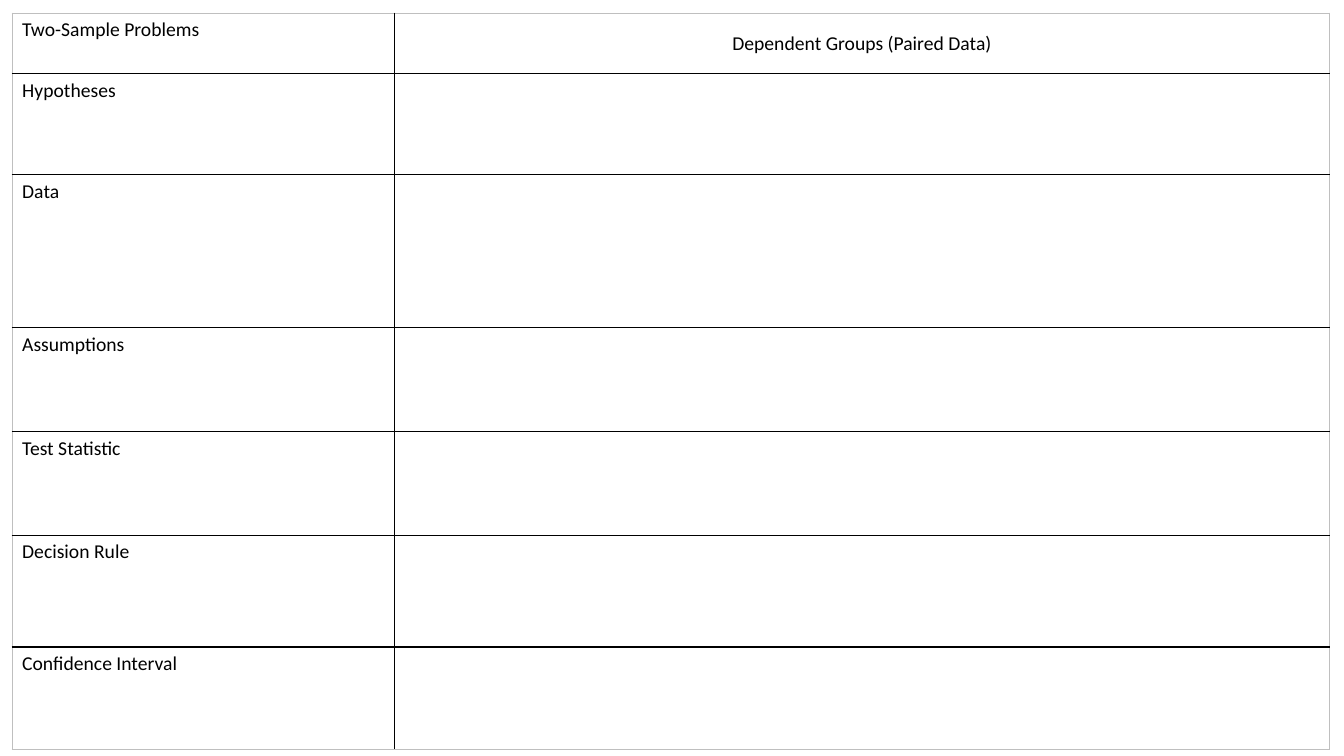
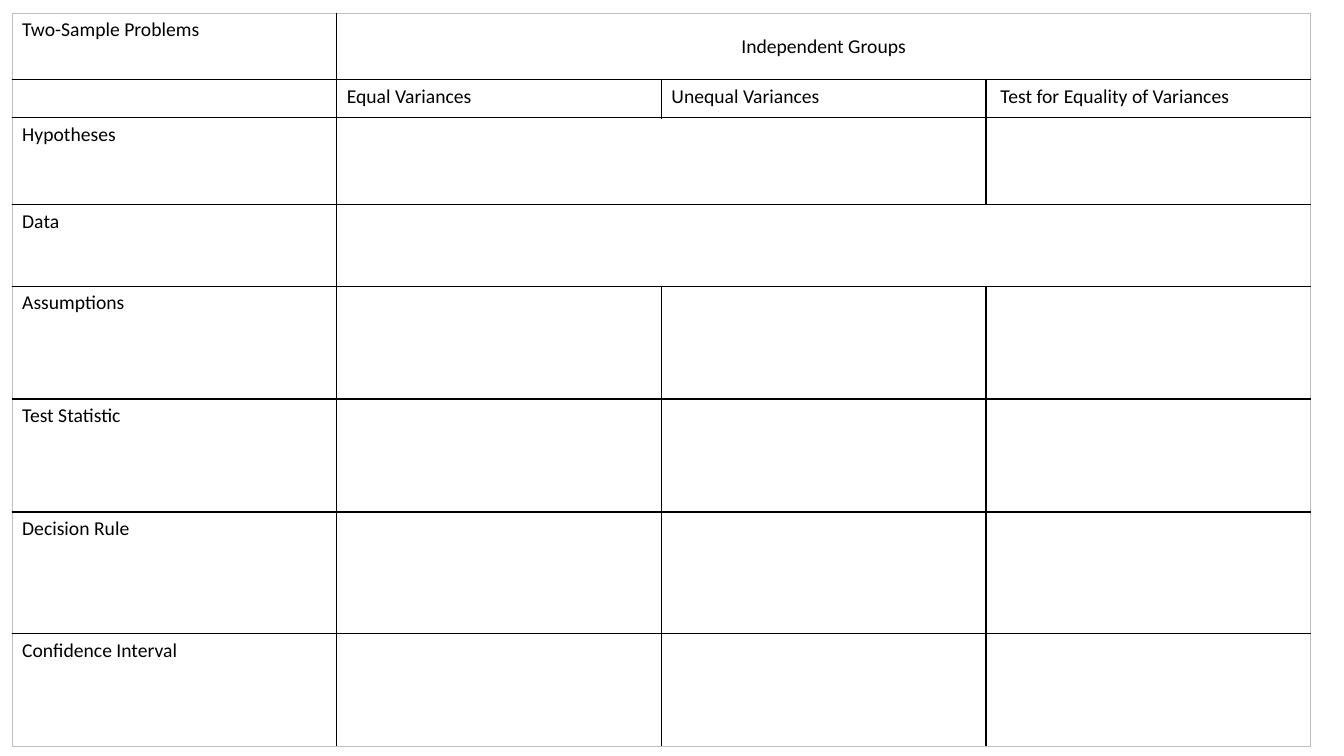
"""Build two blank worksheets for comparing two-sample problems."""
from lxml.etree import SubElement
from pptx import Presentation
from pptx.dml.color import RGBColor
from pptx.enum.text import MSO_ANCHOR as Anchor, PP_ALIGN as Align
from pptx.oxml.ns import qn
from pptx.util import Inches, Pt

TEXT = RGBColor(0x00, 0x00, 0x00)
PAPER = RGBColor(0xFF, 0xFF, 0xFF)
INNER_RULE = RGBColor(0x00, 0x00, 0x00)
OUTER_RULE = RGBColor(0xBF, 0xBF, 0xBF)
FONT = "Calibri"
FONT_SIZE = 14
LEFT, TOP = 0.12, 0.13
CORNER = "Two-Sample Problems"
STEPS = ["Hypotheses", "Data", "Assumptions", "Test Statistic",
         "Decision Rule", "Confidence Interval"]


def add_border(cell, side, color):
    """Draw one side of a cell as a 1 pt line."""
    line = SubElement(cell._tc.get_or_add_tcPr(), qn(f"a:{side}"), w=str(Pt(1)))
    fill = SubElement(line, qn("a:solidFill"))
    SubElement(fill, qn("a:srgbClr"), val=str(color))


def style_cell(cell, row, column, row_count, column_count):
    """Give a cell its paper fill, with a lighter rule around the whole table."""
    end = column + (cell.span_width if cell.is_merge_origin else 1)
    on_edge = {"lnL": column == 0, "lnR": end == column_count,
               "lnT": row == 0, "lnB": row == row_count - 1}
    for side, outer in on_edge.items():
        add_border(cell, side, OUTER_RULE if outer else INNER_RULE)
    cell.fill.solid()
    cell.fill.fore_color.rgb = PAPER


def write_cell(cell, label):
    """Write a label, keeping the text size in empty cells too."""
    paragraph = cell.text_frame.paragraphs[0]
    paragraph.text = label
    for run in paragraph.runs:
        run.font.name = FONT
        run.font.size = Pt(FONT_SIZE)
        run.font.color.rgb = TEXT
    SubElement(paragraph._p, qn("a:endParaRPr"), sz=str(FONT_SIZE * 100))


def add_worksheet(prs, group, widths, heights, subheads=(), merges=()):
    """Add a slide whose table has a group heading and one row per step."""
    slide = prs.slides.add_slide(prs.slide_layouts[6])
    row_count, column_count = len(heights), len(widths)
    table = slide.shapes.add_table(
        row_count, column_count, Inches(LEFT), Inches(TOP),
        Inches(sum(widths)), Inches(sum(heights))).table
    table.first_row = table.horz_banding = False
    for column, width in zip(table.columns, widths):
        column.width = Inches(width)
    for row, height in zip(table.rows, heights):
        row.height = Inches(height)
    for row, first, last in merges:
        table.cell(row, first).merge(table.cell(row, last))

    rows = [[CORNER, group]]
    if subheads:
        rows.append(["", *subheads])
    rows += [[step] for step in STEPS]
    for r, labels in enumerate(rows):
        padded = labels + [""] * (column_count - len(labels))
        for c, label in enumerate(padded):
            cell = table.cell(r, c)
            write_cell(cell, label)
            style_cell(cell, r, c, row_count, column_count)

    heading = table.cell(0, 1)
    heading.vertical_anchor = Anchor.MIDDLE
    heading.text_frame.paragraphs[0].alignment = Align.CENTER


def main():
    """Build and save the presentation."""
    prs = Presentation()
    prs.slide_width, prs.slide_height = Inches(13.33), Inches(7.5)
    add_worksheet(prs, "Dependent Groups (Paired Data)", [3.79, 9.28],
                  [0.6, 1, 1.52, 1.03, 1.03, 1.11, 1.02])
    add_worksheet(
        prs, "Independent Groups", [3.22] * 4,
        [0.66, 0.38, 0.86, 0.81, 1.12, 1.12, 1.21, 1.12],
        subheads=["Equal Variances", "Unequal Variances",
                  " Test for Equality of Variances"],
        merges=[(0, 1, 3), (2, 1, 2), (3, 1, 3)])
    prs.save("out.pptx")


if __name__ == "__main__":
    main()
